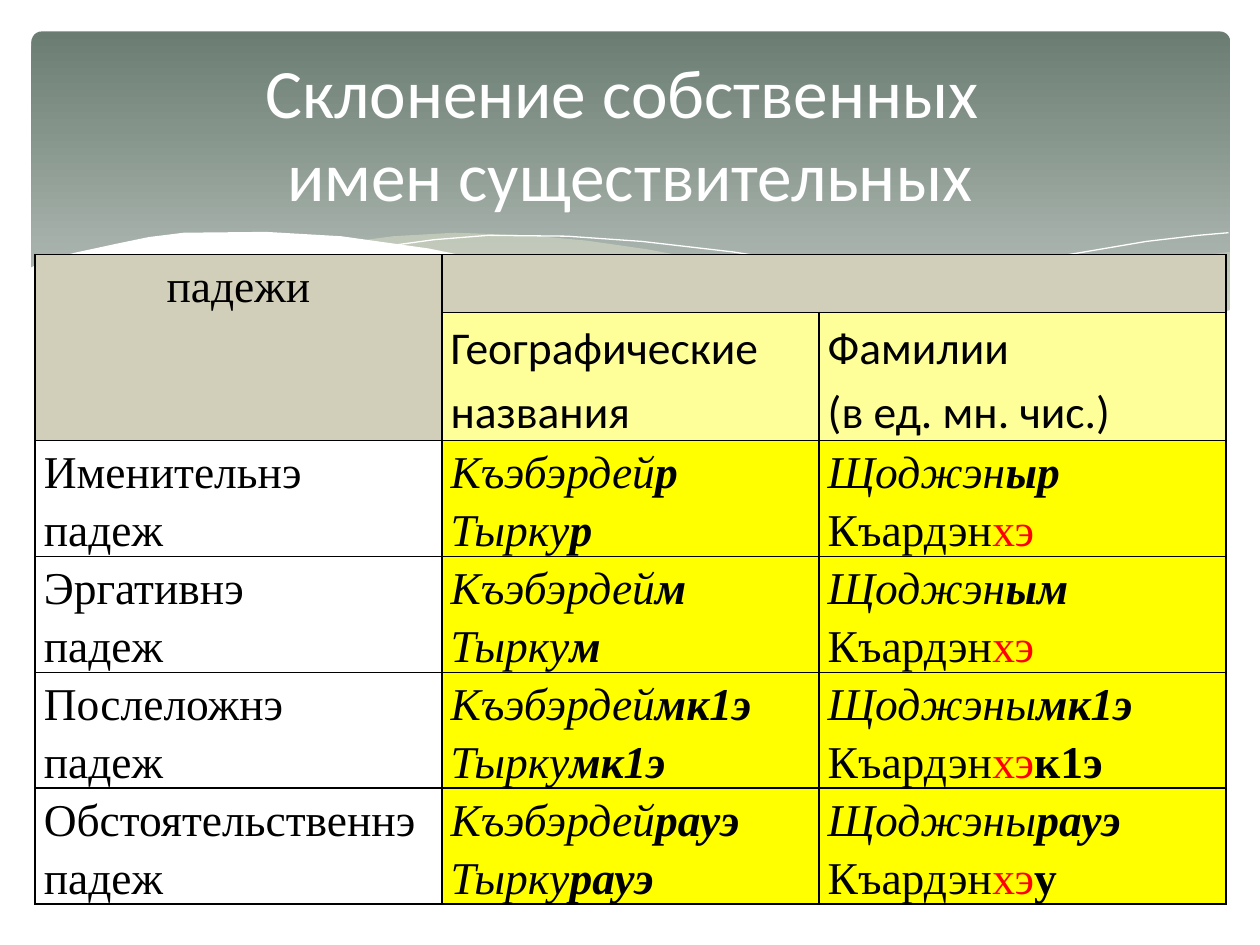
import pptx
import pptx.util
import pptx.dml.color
import pptx.enum.shapes
import pptx.enum.text
import pptx.oxml
from lxml import etree

Pt = pptx.util.Pt
RGB = pptx.dml.color.RGBColor
ALIGN = pptx.enum.text.PP_ALIGN
NS = "http://schemas.openxmlformats.org/drawingml/2006/main"

WHITE = RGB(0xFF, 0xFF, 0xFF)
BLACK = RGB(0, 0, 0)
RED = RGB(0xFF, 0, 0)
DARK = RGB(0x6B, 0x7D, 0x72)
PALE = RGB(0xBE, 0xC7, 0xC2)
CREAM = RGB(0xEC, 0xED, 0xD1)
BEIGE = RGB(0xD1, 0xCE, 0xB9)
LEMON = RGB(0xFF, 0xFF, 0x99)
YELLOW = RGB(0xFF, 0xFF, 0)
SERIF = "Times New Roman"

deck = pptx.Presentation()
deck.slide_width, deck.slide_height = Pt(720), Pt(540)
slide = deck.slides.add_slide(deck.slide_layouts[5])
shapes = slide.shapes

# Gradient banner
banner = shapes.add_shape(pptx.enum.shapes.MSO_SHAPE.ROUNDED_RECTANGLE,
                          Pt(18), Pt(18), Pt(685), Pt(194.5))
banner.adjustments[0] = 0.03
banner.shadow.inherit = False
banner.line.fill.background()
banner.fill.gradient()
banner.fill.gradient_angle = 270
for stop, color, pos in zip(banner.fill.gradient_stops, (DARK, PALE), (0, 0.9)):
    stop.color.rgb = color
    stop.position = pos

# Waves: points, fill (None for a white hairline), opacity in percent
waves = [
    ([(702, 144), (652.5, 151), (620, 158), (561, 170.5), (508, 182), (476, 191),
      (527, 197), (570, 200), (609, 199.5), (646, 195.5), (683, 186.5), (703, 178),
      (703, 144)], CREAM, 29),
    ([(643, 196.5), (602.5, 191), (534, 178), (453, 160), (410, 150), (370, 142.5),
      (335, 137.5), (302, 134.5), (260, 133), (225, 135), (206, 137.5), (246, 143),
      (291, 152), (353.5, 167), (407.5, 178.5), (456.5, 188), (500, 194.5),
      (539, 198.5), (581, 200), (617, 199.5)], CREAM, 40),
    ([(222.5, 140.5), (248, 137), (279, 134.5), (324, 135), (367, 138), (419, 144),
      (479, 153.5), (547, 168), (598, 180.5), (653, 196)], None, 100),
    ([(441, 185), (484, 173.5), (538.5, 160.5), (602, 147), (655, 138), (685, 134.5),
      (702, 133)], None, 100),
    ([(703.5, 177), (670, 188.5), (630, 196.5), (582.5, 199.5), (523, 197),
      (466.5, 188.5), (400, 176.5), (342, 163), (301, 153.5), (245, 142), (195, 135),
      (152, 132.5), (105, 133), (85, 135.5), (68, 139), (42.5, 144.5), (26, 149),
      (16.5, 153.5), (16.5, 237), (703.5, 237)], WHITE, 100),
]
for points, color, alpha in waves:
    spots = [(Pt(x), Pt(y)) for x, y in points]
    pen = shapes.build_freeform(*spots[0])
    pen.add_line_segments(spots[1:], close=color is not None)
    wave = pen.convert_to_shape()
    wave.shadow.inherit = False
    if color is None:
        wave.fill.background()
        wave.line.color.rgb = WHITE
        wave.line.width = Pt(0)
        continue
    wave.line.fill.background()
    wave.fill.solid()
    wave.fill.fore_color.rgb = color
    if alpha < 100:
        tint = wave.element.spPr.find(f"{{{NS}}}solidFill")[0]
        etree.SubElement(tint, f"{{{NS}}}alpha", val=str(alpha * 1000))

# Title, brought in front of the banner
title = shapes.title
title.element.getparent().append(title.element)
title.left, title.top, title.width, title.height = Pt(36), Pt(26.5), Pt(648), Pt(98.5)
frame = title.text_frame
frame.text = "Склонение собственных \vимен существительных"
frame.word_wrap = True
frame.vertical_anchor = pptx.enum.text.MSO_ANCHOR.MIDDLE
frame.paragraphs[0].alignment = ALIGN.CENTER
for run in frame.paragraphs[0].runs:
    run.font.size, run.font.name = Pt(39.6), "Calibri"
    run.font.color.rgb = WHITE

# Table grid
widths = (232.5, 215.5, 232.5)
heights = (33, 55, 66, 66, 66, 66)
table = shapes.add_table(6, 3, Pt(20), Pt(145.5), Pt(sum(widths)), Pt(sum(heights))).table
table.first_row = table.horz_banding = False
for col, width in zip(table.columns, widths):
    col.width = Pt(width)
for row, height in zip(table.rows, heights):
    row.height = Pt(height)
for cell in table.iter_cells():
    for side in ("lnL", "lnR", "lnT", "lnB"):
        cell._tc.get_or_add_tcPr().append(pptx.oxml.parse_xml(
            f'<a:{side} xmlns:a="{NS}" w="12700"><a:solidFill>'
            f'<a:srgbClr val="000000"/></a:solidFill></a:{side}>'))
table.cell(0, 0).merge(table.cell(1, 0))
table.cell(0, 1).merge(table.cell(0, 2))


def fill_in(row, col, lines, color, face=SERIF, align=ALIGN.JUSTIFY):
    """Write lines of (text, style) runs; style holds b, i or r (red)."""
    cell = table.cell(row, col)
    cell.margin_left = cell.margin_right = Pt(5)
    cell.margin_top = cell.margin_bottom = 0
    if color is None:
        cell.fill.background()
    else:
        cell.fill.solid()
        cell.fill.fore_color.rgb = color
    for num, line in enumerate(lines):
        frame = cell.text_frame
        para = frame.add_paragraph() if num else frame.paragraphs[0]
        para.alignment, para.line_spacing = align, 1.15
        for text, style in line:
            run = para.add_run()
            run.text = text
            font = run.font
            font.size, font.name = Pt(26), face
            font.bold, font.italic = "b" in style, "i" in style
            font.color.rgb = RED if "r" in style else BLACK


# Header cells
fill_in(0, 0, [[("падежи", "")]], BEIGE, align=ALIGN.CENTER)
fill_in(0, 1, [], BEIGE)
fill_in(1, 1, [[("Географические названия", "")]], LEMON, "Calibri")
fill_in(1, 2, [[("Фамилии", "")], [("(в ед. мн. чис.)", "")]], LEMON, "Calibri")

# Cases: name, place ending, surname stem, its ending, plural ending
cases = [
    ("Именительнэ", "р", "Щоджэн", "ыр", ""),
    ("Эргативнэ", "м", "Щоджэн", "ым", ""),
    ("Послеложнэ", "мк1э", "Щоджэны", "мк1э", "к1э"),
    ("Обстоятельственнэ", "рауэ", "Щоджэны", "рауэ", "у"),
]
for row, (name, place, stem, single, plural) in enumerate(cases, 2):
    fill_in(row, 0, [[(name, "")], [("падеж", "")]], None)
    fill_in(row, 1, [[(word, "i"), (place, "bi")] for word in ("Къэбэрдей", "Тырку")],
            YELLOW)
    many = [("Къардэн", ""), ("хэ", "r")]
    if plural:
        many.append((plural, "b"))
    fill_in(row, 2, [[(stem, "i"), (single, "bi")], many], YELLOW)

deck.save("out.pptx")
